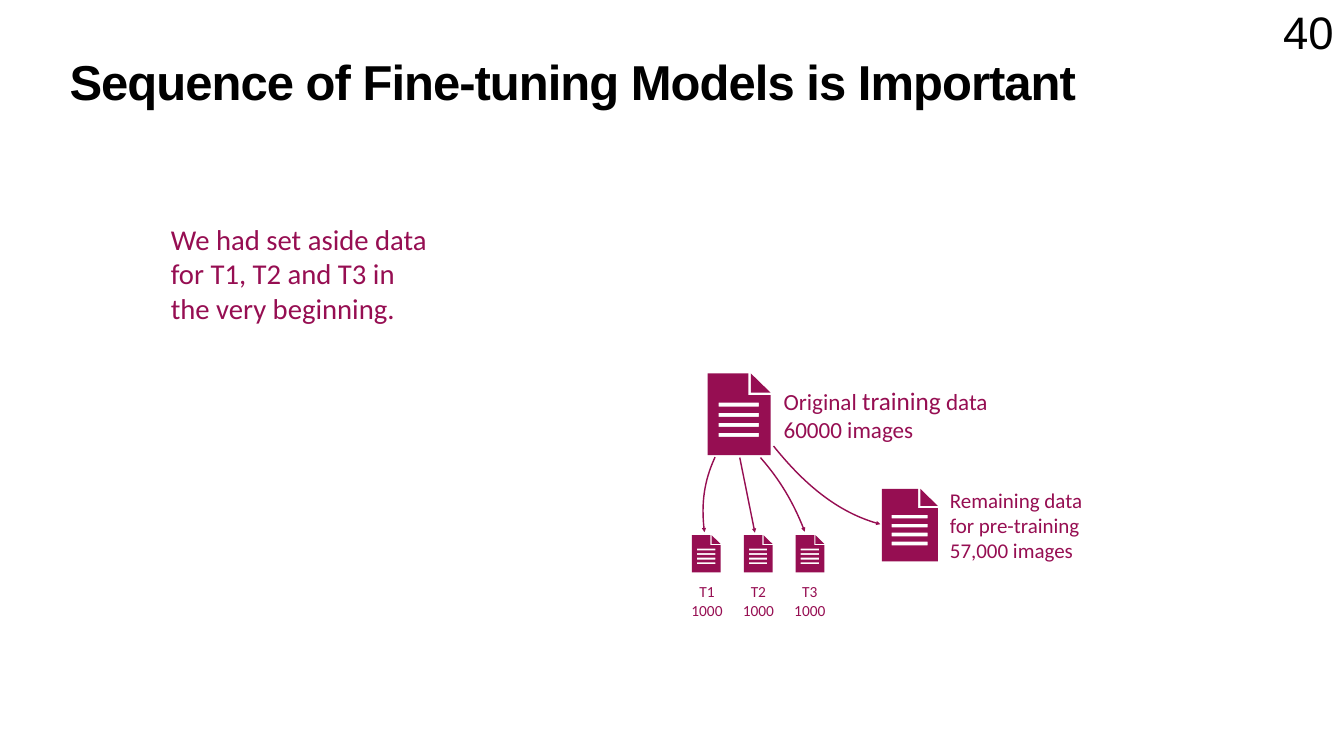
from lxml import etree
from pptx import Presentation
from pptx.dml.color import RGBColor
from pptx.enum.shapes import MSO_CONNECTOR as Connector
from pptx.enum.text import MSO_ANCHOR as Anchor, MSO_AUTO_SIZE as AutoSize, PP_ALIGN as Align
from pptx.oxml.ns import qn
from pptx.util import Pt

PX = 9144  # EMU per px: 100 px to the inch
COLORS = {"black": "000000", "plum": "960E52"}
ICON_WIDTH = 125
LABEL_FONT = {"name": "Calibri"}
FRAME = {"margin_left": 6 * PX, "margin_right": 6 * PX,
         "margin_top": 6 * PX, "margin_bottom": 6 * PX}


def color(name):
    return RGBColor.from_string(COLORS[name])


def apply(target, values):
    for name, value in values.items():
        setattr(target, name, value)


def write(shape, paragraphs, font, ink, frame_format, paragraph_format):
    """Fill a shape with paragraphs, each a list of (text, size) runs."""
    frame = shape.text_frame
    apply(frame, {**FRAME, **frame_format})
    for index, runs in enumerate(paragraphs):
        paragraph = frame.add_paragraph() if index else frame.paragraphs[0]
        apply(paragraph, paragraph_format)
        for text, size in runs:
            run = paragraph.add_run()
            run.text = text
            apply(run.font, {**font, "size": Pt(size)})
            run.font.color.rgb = color(ink)


def place(shape, box):
    names = ("left", "top", "width", "height")
    apply(shape, {name: value * PX for name, value in zip(names, box)})


def add_title(slide, text):
    title = slide.shapes.title
    place(title, (132, 118, 2403, 157))
    write(title, [[(text, 70)]], {"name": "Arial", "bold": True}, "black",
          {"vertical_anchor": Anchor.TOP, "word_wrap": True, "auto_size": AutoSize.NONE},
          {"alignment": Align.LEFT, "line_spacing": 0.8})
    for run in title.text_frame.paragraphs[0].runs:
        run.font._element.set("spc", "-140")


def add_text(slide, box, paragraphs, align=Align.LEFT, wrap=False,
             font=LABEL_FONT, ink="plum", anchor=Anchor.MIDDLE):
    shape = slide.shapes.add_textbox(*(value * PX for value in box))
    write(shape, paragraphs, font, ink,
          {"vertical_anchor": anchor, "word_wrap": wrap,
           "auto_size": AutoSize.SHAPE_TO_FIT_TEXT},
          {"alignment": align})


def add_document(slide, left, top, width):
    """Page with a folded corner and four text lines cut out."""
    page = [(0, 0), (81, 0), (81, 43), (125, 43), (125, 162), (0, 162)]
    fold = [(86, 0), (86, 38), (125, 38)]
    rows = [[(22, y), (102, y), (102, y + 8), (22, y + 8)] for y in range(58, 119, 20)]
    builder = slide.shapes.build_freeform(*page[0], scale=PX * width / ICON_WIDTH)
    builder.add_line_segments(page[1:])
    for contour in [fold, *rows]:
        builder.move_to(*contour[0])
        builder.add_line_segments(contour[1:])
    shape = builder.convert_to_shape(left * PX, top * PX)
    shape.fill.solid()
    shape.fill.fore_color.rgb = color("plum")
    shape.line.fill.background()
    shape.shadow.inherit = False


def style_arrow(shape):
    shape.line.color.rgb = color("plum")
    shape.line.width = Pt(2)
    properties = shape._element.spPr
    line = properties.find(qn("a:ln"))
    etree.SubElement(line, qn("a:tailEnd"), type="triangle")
    etree.SubElement(properties, qn("a:effectLst"))


def add_curved_arrow(slide, start, *controls_and_end):
    builder = slide.shapes.build_freeform(*start, scale=PX)
    builder.add_line_segments(controls_and_end, close=False)
    shape = builder.convert_to_shape()
    shape.fill.background()
    # Join the three segments into one cubic curve
    path = next(shape._element.iter(qn("a:path")))
    curve = etree.SubElement(path, qn("a:cubicBezTo"))
    for segment in path.findall(qn("a:lnTo")):
        curve.append(segment[0])
        path.remove(segment)
    style_arrow(shape)


def add_straight_arrow(slide, start, end):
    ends = (value * PX for value in (*start, *end))
    style_arrow(slide.shapes.add_connector(Connector.STRAIGHT, *ends))


def main():
    presentation = Presentation()
    presentation.slide_width = 2667 * PX
    presentation.slide_height = 1500 * PX
    slide = presentation.slides.add_slide(presentation.slide_layouts[5])

    # Title, page number and comment
    add_title(slide, "Sequence of Fine-tuning Models is Important")
    add_text(slide, (2540, 6, 113, 117), [[("40", 65)]], Align.CENTER,
             font={"name": "Arial"}, ink="black", anchor=Anchor.BOTTOM)
    comment = ("We had set aside data", "for T1, T2 and T3 in", "the very beginning.")
    add_text(slide, (333, 418, 765, 249), [[(line, 41)] for line in comment], wrap=True)

    # Original data
    add_document(slide, 1404, 741, 125)
    add_text(slide, (1549, 749, 637, 144),
             [[("Original ", 33), ("training", 36), (" data", 33)], [("60000 images", 33)]])

    # Remaining data
    add_document(slide, 1750, 970, 111)
    remaining = ("Remaining data", "for pre-training", "57,000 images")
    add_text(slide, (1879, 949, 637, 186), [[(line, 30)] for line in remaining], wrap=True)

    # Three sets put aside
    for index, name in enumerate(("T1", "T2", "T3")):
        add_document(slide, 1373 + 103 * index, 1062, 57)
        add_text(slide, (1360 + 102 * index, 1145, 86, 94),
                 [[(name, 22)], [("1000", 22)]], Align.CENTER)

    # Arrows from the original data to its parts
    add_curved_arrow(slide, (1419, 907), (1397, 954), (1391, 1004), (1398, 1056))
    add_straight_arrow(slide, (1468, 908), (1498, 1057))
    add_curved_arrow(slide, (1509, 908), (1547, 951), (1576, 1000), (1597, 1055))
    add_curved_arrow(slide, (1535, 885), (1603, 970), (1674, 1021), (1747, 1040))

    presentation.save("out.pptx")


if __name__ == "__main__":
    main()
